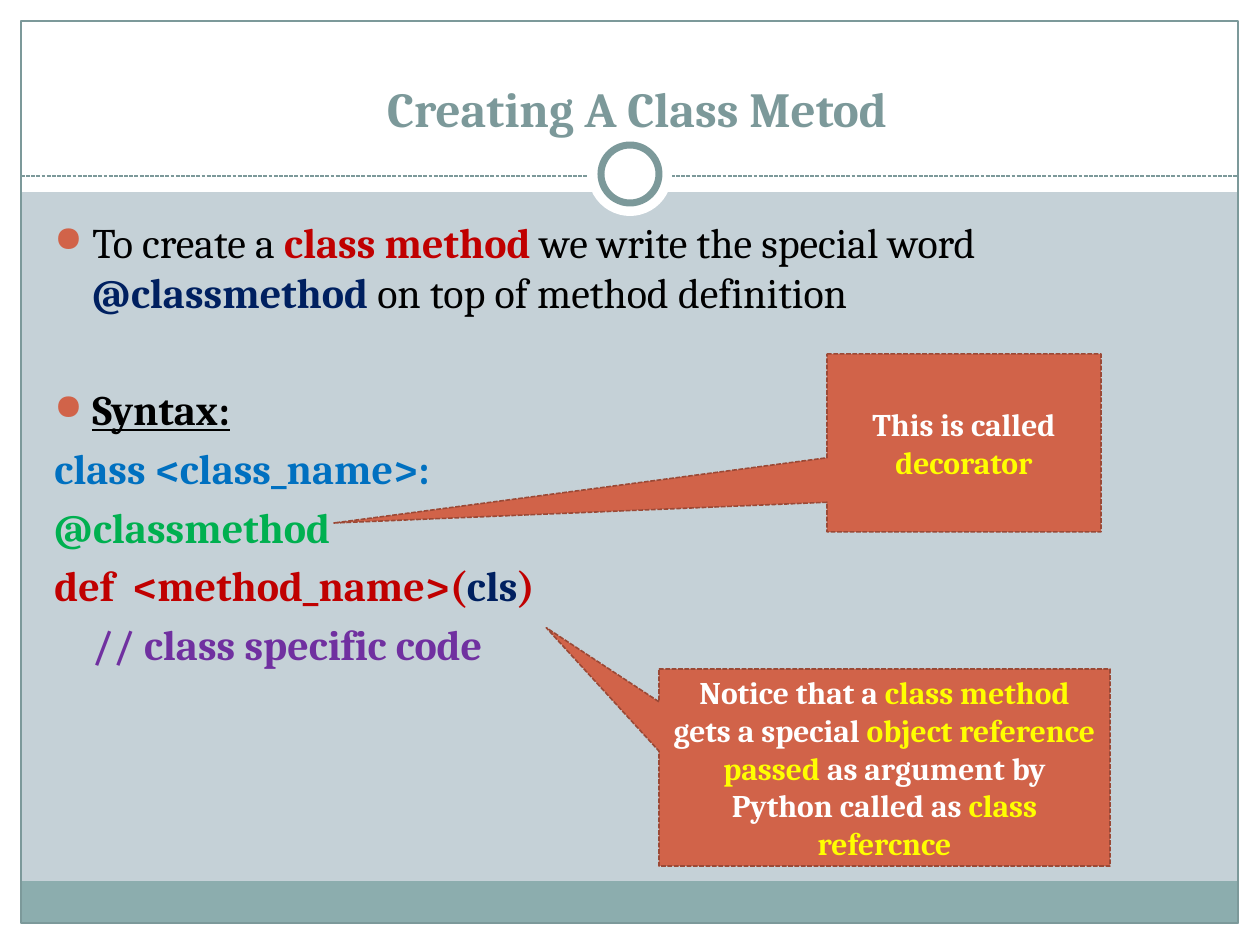
import pptx
import pptx.util
import pptx.oxml.ns
from dataclasses import dataclass
from lxml import etree
from pptx.dml.color import RGBColor
from pptx.enum.dml import MSO_LINE
from pptx.enum.shapes import MSO_CONNECTOR, MSO_SHAPE
from pptx.enum.text import MSO_ANCHOR, PP_ALIGN

W, H = 1260, 945
EMU_PER_PX = 914400 / 126


@dataclass(frozen=True)
class Theme:
    font: str = "Cambria"
    title_size: int = 28
    body_size: int = 24
    callout_size: int = 18
    background: str = "C5D1D7"
    white: str = "FFFFFF"
    black: str = "000000"
    accent: str = "7C999A"
    footer: str = "8CADAE"
    orange: str = "D16349"
    orange_dark: str = "9B4936"
    red: str = "C00000"
    navy: str = "002060"
    blue: str = "0070C0"
    green: str = "00B050"
    purple: str = "7030A0"
    yellow: str = "FFFF00"


T = Theme()


def px(n):
    return pptx.util.Emu(round(n * EMU_PER_PX))


def rgb(value):
    return RGBColor.from_string(value)


def set_line(line, color, width, dash=None):
    line.color.rgb = rgb(color)
    line.width = pptx.util.Pt(width)
    if dash:
        line.dash_style = dash


def add_block(s, kind, box, fill=None, line=None, width=0.75, dash=None):
    """Add a preset shape; box is left, top, width, height in px."""
    sp = s.shapes.add_shape(kind, *map(px, box))
    sp.shadow.inherit = False
    if fill:
        sp.fill.solid()
        sp.fill.fore_color.rgb = rgb(fill)
    else:
        sp.fill.background()
    if line:
        set_line(sp.line, line, width, dash)
    else:
        sp.line.fill.background()
    return sp


def add_rule(s, x1, y1, x2, y2):
    c = s.shapes.add_connector(MSO_CONNECTOR.STRAIGHT, px(x1), px(y1), px(x2), px(y2))
    set_line(c.line, T.accent, 0.75, MSO_LINE.SQUARE_DOT)
    etree.SubElement(c._element.spPr, pptx.oxml.ns.qn("a:effectLst"))


def add_run(p, text, size=T.body_size, color=T.black, bold=False, underline=False):
    r = p.add_run()
    r.text = text
    r.font.name = T.font
    r.font.size = pptx.util.Pt(size)
    r.font.color.rgb = rgb(color)
    r.font.bold = bold
    r.font.underline = underline


def set_indent(p, left=0, bullet=False):
    pPr = p._p.get_or_add_pPr()
    pPr.set("marL", str(px(left)))
    pPr.set("indent", str(px(-left if bullet else 0)))
    if bullet:
        qn = pptx.oxml.ns.qn
        color = etree.SubElement(pPr, qn("a:buClr"))
        etree.SubElement(color, qn("a:srgbClr"), val=T.orange)
        etree.SubElement(pPr, qn("a:buSzPct"), val="85000")
        etree.SubElement(pPr, qn("a:buChar"), char="●")


def add_text_box(s, box, anchor=MSO_ANCHOR.TOP):
    tf = s.shapes.add_textbox(*map(px, box)).text_frame
    tf.word_wrap = True
    tf.vertical_anchor = anchor
    return tf


def add_frame(s):
    # White margins around the slide, with the taller header band
    for box in ((0, 924, W, 21), (0, 0, W, 192), (0, 0, 21, H), (1239, 0, 21, H)):
        add_block(s, MSO_SHAPE.RECTANGLE, box, T.white)
    add_block(s, MSO_SHAPE.RECTANGLE, (21, 881, 1217, 43), T.footer)
    add_block(s, MSO_SHAPE.RECTANGLE, (21, 21, 1217, 902), line=T.accent)
    # Dashed divider with the ring at its centre
    add_rule(s, 21, 176, 1239, 176)
    add_block(s, MSO_SHAPE.OVAL, (588, 132, 84, 84), T.white)
    add_block(s, MSO_SHAPE.OVAL, (601, 145, 58, 58), T.white, T.accent, 4)


def add_title(s, text):
    tf = add_text_box(s, (49, 39, 1176, 105), MSO_ANCHOR.BOTTOM)
    p = tf.paragraphs[0]
    p.alignment = PP_ALIGN.CENTER
    add_run(p, text, size=T.title_size, color=T.accent, bold=True)


def add_body(s, paragraphs):
    """Each paragraph is left indent, bullet, space before in pt, and runs."""
    tf = add_text_box(s, (42, 210, 1172, 669))
    for i, (left, bullet, before, runs) in enumerate(paragraphs):
        p = tf.add_paragraph() if i else tf.paragraphs[0]
        if before:
            p.space_before = pptx.util.Pt(before)
        set_indent(p, left, bullet)
        for text, style in runs:
            add_run(p, text, **style)


def add_callout(s, box, tip, runs):
    """Add a callout; tip is the pointer offset as a share of the box size."""
    sp = add_block(s, MSO_SHAPE.RECTANGULAR_CALLOUT, box, T.orange,
                   T.orange_dark, 0.9, MSO_LINE.SQUARE_DOT)
    sp.adjustments[0], sp.adjustments[1] = tip
    tf = sp.text_frame
    tf.word_wrap = True
    tf.vertical_anchor = MSO_ANCHOR.MIDDLE
    p = tf.paragraphs[0]
    p.alignment = PP_ALIGN.CENTER
    for text, color in runs:
        add_run(p, text, size=T.callout_size, color=color, bold=True)


def strong(color):
    return {"color": color, "bold": True}


def main():
    prs = pptx.Presentation()
    prs.slide_width, prs.slide_height = px(W), px(H)
    s = prs.slides.add_slide(prs.slide_layouts[6])
    s.background.fill.solid()
    s.background.fill.fore_color.rgb = rgb(T.background)

    add_frame(s)
    add_title(s, "Creating A Class Metod")

    # Explanation and syntax listing
    indent, gap, section_gap = 38, 4.8, 38
    add_body(s, [
        (indent, True, 0, [
            ("To create a ", {}),
            ("class method ", strong(T.red)),
            ("we write the special word ", {}),
            ("@classmethod ", strong(T.navy)),
            ("on top of method definition", {})]),
        (indent, True, section_gap, [("Syntax:", {"bold": True, "underline": True})]),
        (0, False, gap, [("class <class_name>:", strong(T.blue))]),
        (0, False, gap, [("@classmethod", strong(T.green))]),
        (0, False, gap, [
            ("def  <method_name>(", strong(T.red)),
            ("cls", strong(T.navy)),
            (")", strong(T.red))]),
        (indent, False, gap, [("// class specific code", strong(T.purple))]),
    ])

    # Callouts pointing at the decorator and the cls argument
    add_callout(s, (827, 354, 274, 178), (-2.3, 0.45), [
        ("This is called ", T.white), ("decorator", T.yellow)])
    add_callout(s, (659, 669, 451, 197), (-0.75, -0.71), [
        ("Notice that a ", T.white), ("class method ", T.yellow),
        ("gets a special ", T.white), ("object reference passed ", T.yellow),
        ("as argument by Python called as ", T.white), ("class refercnce", T.yellow)])

    prs.save("out.pptx")


if __name__ == "__main__":
    main()
